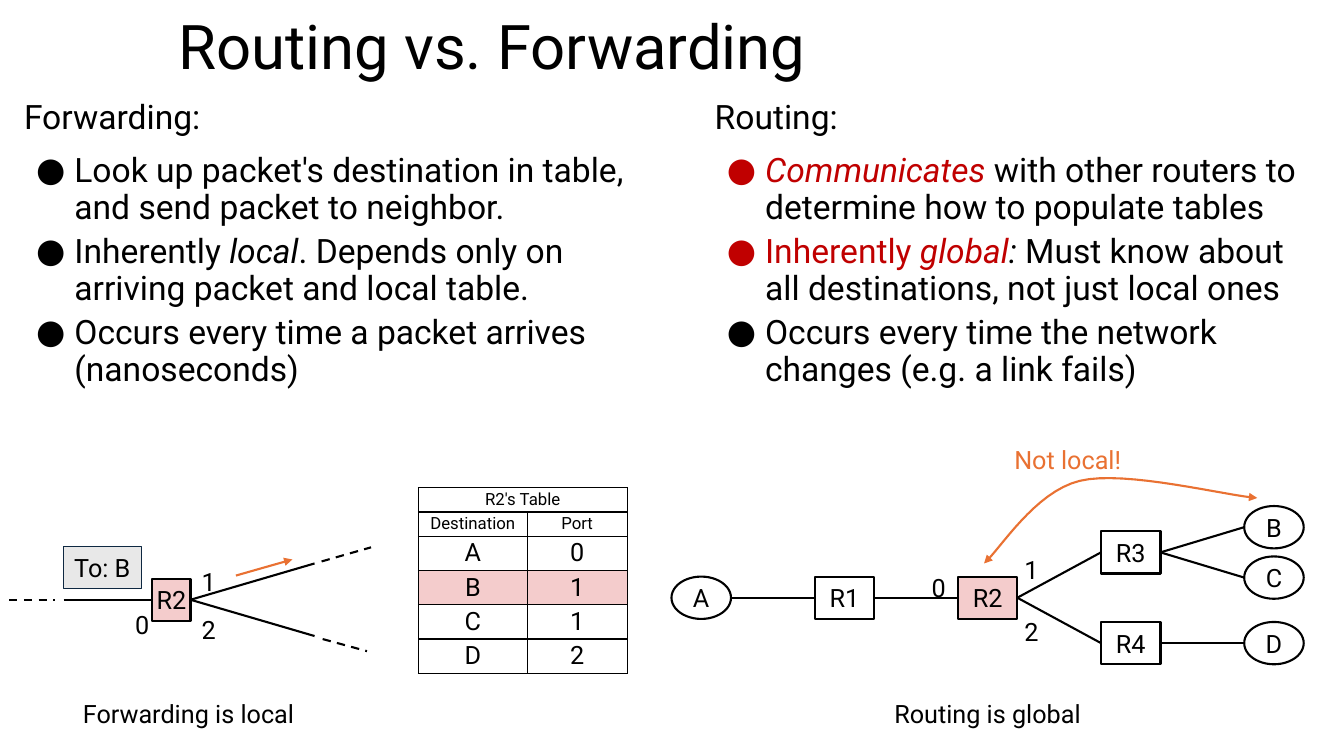
from dataclasses import dataclass
from typing import Optional

from lxml import etree
from pptx import Presentation
from pptx.dml.color import RGBColor
from pptx.enum.dml import MSO_LINE
from pptx.enum.shapes import MSO_CONNECTOR, MSO_SHAPE
from pptx.enum.text import MSO_ANCHOR, PP_ALIGN
from pptx.oxml.ns import qn
from pptx.util import Inches, Pt

RECT, OVAL = MSO_SHAPE.RECTANGLE, MSO_SHAPE.OVAL
STRAIGHT, DASH = MSO_CONNECTOR.STRAIGHT, MSO_LINE.DASH
LEFT, CENTER, MIDDLE = PP_ALIGN.LEFT, PP_ALIGN.CENTER, MSO_ANCHOR.MIDDLE
FONT = "Roboto"
COLORS = {"black": "000000", "white": "FFFFFF", "red": "C00000", "pink": "F4CCCC",
          "orange": "E97132", "gray": "E8E8E8", "navy": "0E2841"}
NODE_W, NODE_H = 0.59, 0.42


@dataclass
class Run:
    text: str
    color: str = "black"
    italic: bool = False


@dataclass
class Label:
    text: str
    x: float
    y: float
    w: float = 0.2
    color: str = "black"
    align: PP_ALIGN = LEFT


@dataclass
class Node:
    name: str
    x: float
    y: float
    w: float = NODE_W
    shape: MSO_SHAPE = RECT
    fill: str = "white"
    outline: str = "black"
    weight: float = 1.5


@dataclass
class Link:
    x1: float
    y1: float
    x2: float
    y2: float
    dash: Optional[MSO_LINE] = None
    color: str = "black"
    arrow: bool = False


def rgb(name: str) -> RGBColor:
    return RGBColor.from_string(COLORS[name])


def style_font(font, size: float, color: Optional[str] = "black") -> None:
    font.name, font.size = FONT, Pt(size)
    if color:
        font.color.rgb = rgb(color)


def set_margins(target, side: float, top: float) -> None:
    target.margin_left = target.margin_right = Inches(side)
    target.margin_top = target.margin_bottom = Inches(top)


def add_frame(x: float, y: float, w: float, h: float, margin: float = 0):
    frame = slide.shapes.add_textbox(Inches(x), Inches(y), Inches(w), Inches(h)).text_frame
    frame.word_wrap = True
    set_margins(frame, margin, margin)
    return frame


def add_label(label: Label) -> None:
    paragraph = add_frame(label.x, label.y, label.w, 0.32).paragraphs[0]
    paragraph.text, paragraph.alignment, paragraph.line_spacing = label.text, label.align, 1.15
    style_font(paragraph.font, 18, label.color)


def add_column(x: float, w: float, heading: str, points: list[list[Run]]) -> None:
    frame = add_frame(x, 0.9, w, 3.4, 0.1)
    for i, runs in enumerate([[Run(heading)], *points]):
        paragraph = frame.add_paragraph() if i else frame.paragraphs[0]
        paragraph.line_spacing, paragraph.space_after = 0.9, Pt(6)
        paragraph.space_before = Pt(6 if i == 1 else 0)
        if i:
            props = paragraph._p.get_or_add_pPr()
            props.set("marL", str(Inches(0.5)))
            props.set("indent", str(Inches(-0.38)))
            bullet_color = etree.SubElement(props, qn("a:buClr"))
            etree.SubElement(bullet_color, qn("a:srgbClr"), val=COLORS[runs[0].color])
            etree.SubElement(props, qn("a:buFont"), typeface=FONT)
            etree.SubElement(props, qn("a:buChar"), char="●")
        same_color = len({run.color for run in runs}) == 1
        style_font(paragraph.font, 24, runs[0].color if same_color else None)
        for item in runs:
            run = paragraph.add_run()
            run.text = item.text
            if item.italic:
                run.font.italic = True
            if not same_color:
                run.font.color.rgb = rgb(item.color)


def add_node(node: Node) -> None:
    box = slide.shapes.add_shape(node.shape, Inches(node.x), Inches(node.y),
                                 Inches(node.w), Inches(NODE_H))
    box.shadow.inherit = False
    box.fill.solid()
    box.fill.fore_color.rgb = rgb(node.fill)
    box.line.color.rgb, box.line.width = rgb(node.outline), Pt(node.weight)
    frame = box.text_frame
    set_margins(frame, 0, 0)
    frame.vertical_anchor, frame.word_wrap = MIDDLE, False
    paragraph = frame.paragraphs[0]
    paragraph.text, paragraph.alignment = node.name, CENTER
    style_font(paragraph.font, 18)


def add_arrowheads(line, *ends: str) -> None:
    for end in ends:
        etree.SubElement(line._get_or_add_ln(), qn(f"a:{end}"), type="triangle")


def add_link(link: Link) -> None:
    wire = slide.shapes.add_connector(STRAIGHT, Inches(link.x1), Inches(link.y1),
                                      Inches(link.x2), Inches(link.y2))
    wire.line.color.rgb, wire.line.width = rgb(link.color), Pt(1.5)
    if link.dash:
        wire.line.dash_style = link.dash
    if link.arrow:
        add_arrowheads(wire.line, "tailEnd")
    etree.SubElement(wire._element.spPr, qn("a:effectLst"))


def add_curve(points: list[tuple[float, float]], steps: int = 16) -> None:
    """Draw joined cubic Bezier spans with an arrowhead at both ends."""
    track = [tuple(Inches(value) for value in points[0])]
    for first in range(0, len(points) - 1, 3):
        span = points[first:first + 4]
        for step in range(1, steps + 1):
            t = step / steps
            weights = ((1 - t) ** 3, 3 * t * (1 - t) ** 2, 3 * t * t * (1 - t), t ** 3)
            track.append(tuple(Inches(sum(k * p[axis] for k, p in zip(weights, span)))
                               for axis in (0, 1)))
    builder = slide.shapes.build_freeform(*track[0])
    builder.add_line_segments(track[1:], close=False)
    curve = builder.convert_to_shape()
    curve.shadow.inherit = False
    curve.fill.background()
    curve.line.color.rgb, curve.line.width = rgb("orange"), Pt(1.5)
    add_arrowheads(curve.line, "headEnd", "tailEnd")


def add_forwarding_table(rows: list[tuple[str, str]], highlighted: int) -> None:
    table = slide.shapes.add_table(len(rows), 2, Inches(4.15), Inches(4.84),
                                   Inches(2.07), Inches(1.8)).table
    table.first_row = table.horz_banding = False
    for column, width in zip(table.columns, (1.08, 0.99)):
        column.width = Inches(width)
    for r, values in enumerate(rows):
        table.rows[r].height = Inches(0.13)  # rows grow to fit their text
        for c, value in enumerate(values):
            cell = table.cell(r, c)
            set_margins(cell, 0, 0.02)
            cell.vertical_anchor = MIDDLE
            paragraph = cell.text_frame.paragraphs[0]
            paragraph.text, paragraph.alignment = value, CENTER
            style_font(paragraph.font, 12 if r < 2 else 18)
            props = cell._tc.get_or_add_tcPr()
            for side in ("lnL", "lnR", "lnT", "lnB"):
                border = etree.SubElement(props, qn(f"a:{side}"), w=str(Pt(1)))
                paint = etree.SubElement(border, qn("a:solidFill"))
                etree.SubElement(paint, qn("a:srgbClr"), val=COLORS["black"])
            if r == highlighted:
                cell.fill.solid()
                cell.fill.fore_color.rgb = rgb("pink")
            else:
                cell.fill.background()
    table.cell(0, 0).merge(table.cell(0, 1))


prs = Presentation()
prs.slide_width, prs.slide_height = Inches(13.33), Inches(7.5)
slide = prs.slides.add_slide(prs.slide_layouts[6])

# Title and the two text columns
title = add_frame(1.67, 0.06, 10, 0.91, 0.1).paragraphs[0]
title.text, title.line_spacing = "Routing vs. Forwarding", 0.9
style_font(title.font, 44)
add_column(0.14, 6.64, "Forwarding:", [
    [Run("Look up packet's destination in table, and send packet to neighbor.")],
    [Run("Inherently "), Run("local", italic=True),
     Run(". Depends only on arriving packet and local table.")],
    [Run("Occurs every time a packet arrives (nanoseconds)")]])
add_column(6.99, 6, "Routing:", [
    [Run("Communicates", "red", True),
     Run(" with other routers to determine how to populate tables")],
    [Run("Inherently ", "red"), Run("global", "red", True), Run(":", italic=True),
     Run(" Must know about all destinations, not just local ones")],
    [Run("Occurs every time the network changes (e.g. a link fails)")]])

# Forwarding: one router and its table
for link in (Link(0.63, 5.95, 1.51, 5.95), Link(1.89, 5.95, 3.12, 5.59),
             Link(1.89, 5.95, 3.12, 6.31), Link(0.09, 5.95, 0.55, 5.95, DASH),
             Link(3.19, 5.57, 3.68, 5.43, DASH), Link(3.2, 6.34, 3.64, 6.46, DASH),
             Link(2.34, 5.71, 2.9, 5.55, color="orange", arrow=True)):
    add_link(link)
add_node(Node("To: B", 0.63, 5.42, 0.77, fill="gray", outline="navy", weight=0.75))
add_node(Node("R2", 1.51, 5.74, 0.38, fill="pink"))
add_forwarding_table([("R2's Table", ""), ("Destination", "Port"),
                      ("A", "0"), ("B", "1"), ("C", "1"), ("D", "2")], highlighted=3)

# Routing: the whole network
hop_x = [6.66 + 1.42 * hop for hop in range(5)]
network = {node.name: node for node in (
    Node("A", hop_x[0], 5.72, shape=OVAL), Node("R1", hop_x[1], 5.72),
    Node("R2", hop_x[2], 5.72, fill="pink"),
    Node("R3", hop_x[3], 5.27), Node("R4", hop_x[3], 6.17),
    Node("B", hop_x[4], 5.02, shape=OVAL), Node("C", hop_x[4], 5.52, shape=OVAL),
    Node("D", hop_x[4], 6.17, shape=OVAL))}
for near, far in (("A", "R1"), ("R1", "R2"), ("R2", "R3"), ("R2", "R4"),
                  ("R3", "B"), ("R3", "C"), ("R4", "D")):
    start, end = network[near], network[far]
    add_link(Link(start.x + NODE_W, start.y + NODE_H / 2, end.x, end.y + NODE_H / 2))
for router_or_host in network.values():
    add_node(router_or_host)
add_curve([(9.76, 5.59), (9.92, 5.45), (10.26, 4.88), (10.71, 4.77),
           (11.16, 4.66), (12.17, 4.92), (12.47, 4.94)])

# Port numbers and captions
for label in (Label("1", 2, 5.57), Label("2", 2, 6.05), Label("0", 1.34, 6),
              Label("0", 9.24, 5.63), Label("1", 10.16, 5.45), Label("2", 10.16, 6.07),
              Label("Forwarding is local", 0.69, 6.88, 2.36, align=CENTER),
              Label("Routing is global", 7.96, 6.88, 3.67, align=CENTER),
              Label("Not local!", 9.79, 4.36, 1.6, "orange", CENTER)):
    add_label(label)

prs.save("out.pptx")
